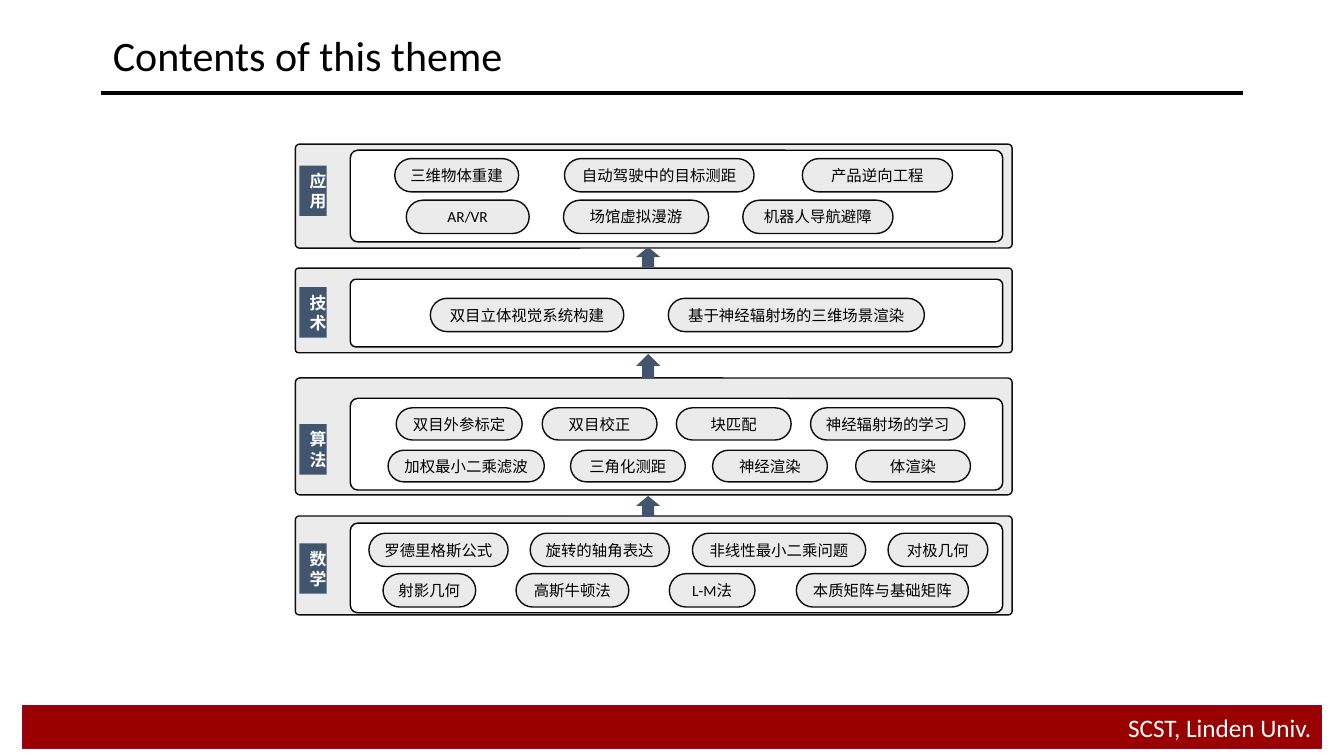
from typing import NamedTuple

from lxml.etree import SubElement
from pptx import Presentation
from pptx.dml.color import RGBColor
from pptx.enum.shapes import MSO_CONNECTOR, MSO_SHAPE
from pptx.enum.text import MSO_ANCHOR, PP_ALIGN
from pptx.oxml.ns import qn
from pptx.shapes.autoshape import Shape
from pptx.slide import Slide
from pptx.util import Pt

LATIN = "Calibri"
HAN = "Noto Sans CJK SC"
SLATE = "42556E"
GREY = "EBEBEB"
INK = "0D0D0D"
BLACK = "000000"
WHITE = "FFFFFF"


class Box(NamedTuple):
    left: float
    top: float
    width: float
    height: float


class Chip(NamedTuple):
    text: str
    left: float
    width: float


class Row(NamedTuple):
    top: float
    height: float
    chips: list[Chip]


class Layer(NamedTuple):
    name: str
    top: float
    height: float
    tag: float
    inner: float
    depth: float
    rows: list[Row]


class Arrow(NamedTuple):
    middle: float
    length: float


LAYERS = [
    Layer("应用", 103, 74.2, 118.3, 107.3, 65.5, [
        Row(113.3, 23.8, [
            Chip("三维物体重建", 282, 88.5),
            Chip("自动驾驶中的目标测距", 403.2, 135.4),
            Chip("产品逆向工程", 573.1, 107.3),
        ]),
        Row(143, 23.8, [
            Chip("AR/VR", 290.2, 87.8),
            Chip("场馆虚拟漫游", 402.5, 103.7),
            Chip("机器人导航避障", 530.6, 107.3),
        ]),
    ]),
    Layer("技术", 191.5, 60.5, 205.2, 199.5, 48.3, [
        Row(213.1, 23.8, [
            Chip("双目立体视觉系统构建", 307.4, 138.2),
            Chip("基于神经辐射场的三维场景渲染", 477.4, 182.9),
        ]),
    ]),
    Layer("算法", 270, 83.5, 303, 284.5, 65.5, [
        Row(291.3, 23, [
            Chip("双目外参标定", 283, 90),
            Chip("双目校正", 387.3, 82),
            Chip("块匹配", 483.1, 82),
            Chip("神经辐射场的学习", 579, 110.2),
        ]),
        Row(321.6, 22.6, [
            Chip("加权最小二乘滤波", 277.2, 111.6),
            Chip("三角化测距", 407.5, 82),
            Chip("神经渲染", 509, 82),
            Chip("体渲染", 611.2, 82),
        ]),
    ]),
    Layer("数学", 368.6, 70.6, 388.1, 373.7, 64, [
        Row(380.9, 23.8, [
            Chip("罗德里格斯公式", 263.5, 99.4),
            Chip("旋转的轴角表达", 378.7, 99.4),
            Chip("非线性最小二乘问题", 494.6, 123.8),
            Chip("对极几何", 634.3, 71.3),
        ]),
        Row(409.8, 23.8, [
            Chip("射影几何", 273.6, 66.2),
            Chip("高斯牛顿法", 368.6, 80.6),
            Chip("L-M法", 478.1, 61.2),
            Chip("本质矩阵与基础矩阵", 568.8, 123),
        ]),
    ]),
]
ARROWS = [Arrow(183.6, 14.4), Arrow(261.4, 17.3), Arrow(361.4, 14.4)]


def color(code: str) -> RGBColor:
    return RGBColor.from_string(code)


def draw(slide: Slide, kind: MSO_SHAPE, box: Box, fill: str,
         line: str = "", weight: float = 1, bend: float = 0) -> Shape:
    shape = slide.shapes.add_shape(kind, *map(Pt, box))
    shape.shadow.inherit = False
    shape.fill.solid()
    shape.fill.fore_color.rgb = color(fill)
    if line:
        shape.line.color.rgb = color(line)
        shape.line.width = Pt(weight)
    else:
        shape.line.fill.background()
    if bend:
        shape.adjustments[0] = bend
    return shape


def write(shape: Shape, text: str, size: float, ink: str,
          align: PP_ALIGN = PP_ALIGN.CENTER, font: str = LATIN,
          bold: bool = False) -> None:
    frame = shape.text_frame
    frame.text = text
    frame.vertical_anchor = MSO_ANCHOR.MIDDLE
    line = frame.paragraphs[0]
    line.alignment = align
    face = line.runs[0].font
    face.size = Pt(size)
    face.name = font
    face.bold = bold
    face.color.rgb = color(ink)
    for props in shape.element.iter(qn("a:rPr")):
        SubElement(props, qn("a:ea"), typeface=HAN)


def add_tag(slide: Slide, layer: Layer) -> None:
    tag = draw(slide, MSO_SHAPE.RECTANGLE, Box(213.8, layer.tag, 19.6, 36), SLATE)
    write(tag, layer.name, 12, WHITE, font=HAN, bold=True)
    frame = tag.text_frame
    frame.word_wrap = True
    frame.margin_left = Pt(7.2)
    frame.margin_right = Pt(0)
    frame.paragraphs[0].line_spacing = Pt(14.4)


def add_chip(slide: Slide, row: Row, chip: Chip) -> None:
    box = Box(chip.left, row.top, chip.width, row.height)
    pill = draw(slide, MSO_SHAPE.ROUNDED_RECTANGLE, box, GREY, INK, bend=0.5)
    write(pill, chip.text, 11, BLACK)
    pill.text_frame.word_wrap = False


def add_layer(slide: Slide, layer: Layer) -> None:
    band = Box(211, layer.top, 512, layer.height)
    panel = Box(250.2, layer.inner, 466, layer.depth)
    draw(slide, MSO_SHAPE.ROUNDED_RECTANGLE, band, GREY, INK, bend=0.038)
    add_tag(slide, layer)
    draw(slide, MSO_SHAPE.ROUNDED_RECTANGLE, panel, WHITE, BLACK, bend=0.082)
    for row in layer.rows:
        for chip in row.chips:
            add_chip(slide, row, chip)


def add_arrow(slide: Slide, arrow: Arrow) -> None:
    size = arrow.length
    box = Box(463 - size / 2, arrow.middle - 8.65, size, 17.3)
    draw(slide, MSO_SHAPE.RIGHT_ARROW, box, SLATE).rotation = 270


def add_frame(slide: Slide) -> None:
    rule = slide.shapes.add_connector(
        MSO_CONNECTOR.STRAIGHT, Pt(72), Pt(66.2), Pt(888), Pt(66.2))
    rule.line.color.rgb = color(BLACK)
    rule.line.width = Pt(3)
    SubElement(rule.element.spPr, qn("a:effectLst"))
    foot = draw(slide, MSO_SHAPE.RECTANGLE, Box(15.8, 504, 928, 31),
                "990000", "990033", 0.75)
    write(foot, "SCST, Linden Univ.", 18, WHITE, PP_ALIGN.RIGHT)
    title = slide.shapes.title
    title.left, title.top, title.width, title.height = map(
        Pt, Box(73.4, 5.8, 864, 66.2))
    write(title, "Contents of this theme", 30, BLACK, PP_ALIGN.LEFT)


def main() -> None:
    deck = Presentation()
    deck.slide_width = Pt(960)
    deck.slide_height = Pt(540)
    slide = deck.slides.add_slide(deck.slide_layouts[5])
    add_frame(slide)
    for layer in LAYERS:
        add_layer(slide, layer)
    for arrow in ARROWS:
        add_arrow(slide, arrow)
    deck.save("out.pptx")


if __name__ == "__main__":
    main()
